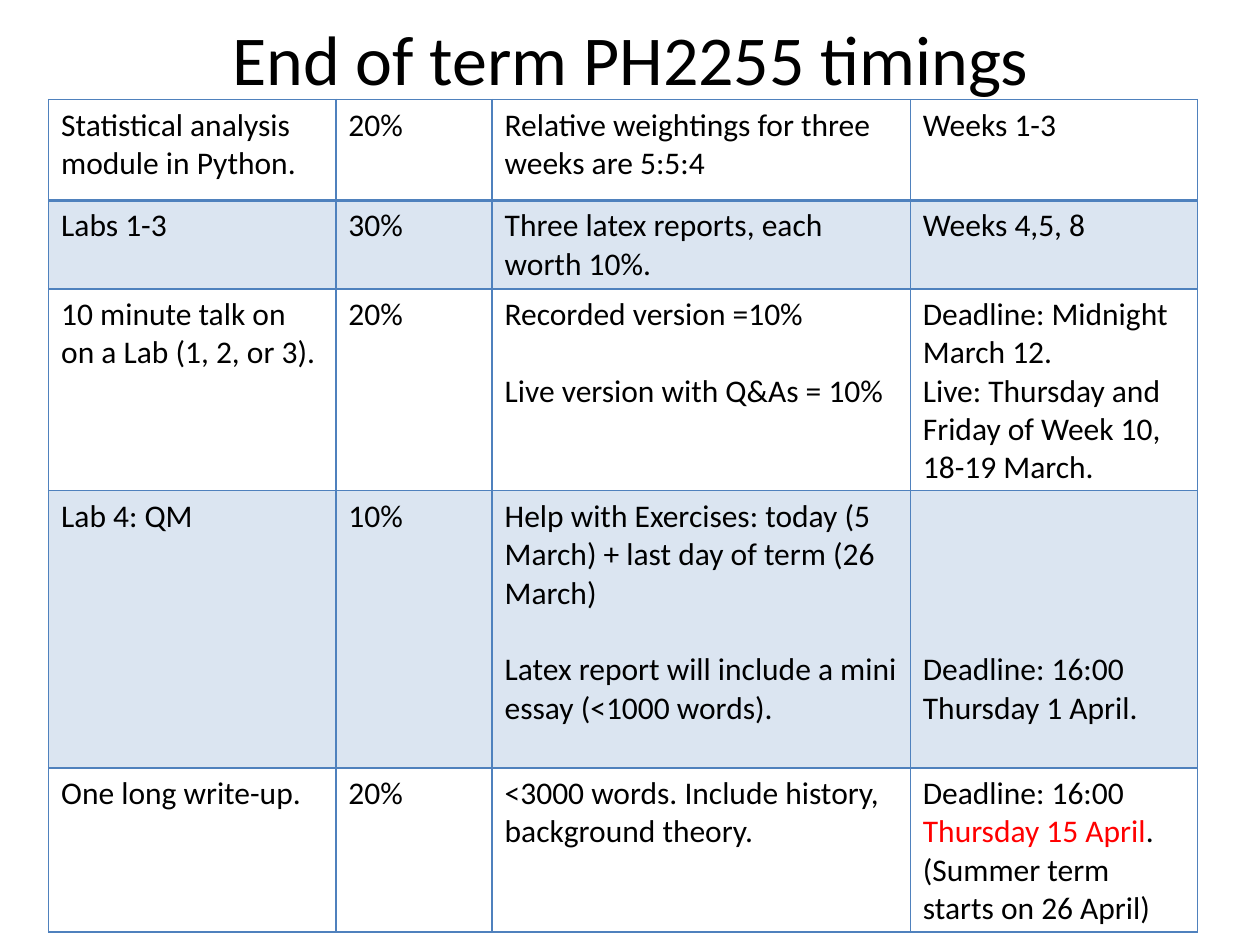
from dataclasses import dataclass

from lxml import etree
from pptx import Presentation
from pptx.dml.color import RGBColor
from pptx.enum.text import PP_ALIGN
from pptx.oxml.ns import qn
from pptx.slide import Slide
from pptx.table import Table, _Cell
from pptx.text.text import TextFrame, _Paragraph
from pptx.util import Cm, Pt

CENTER = PP_ALIGN.CENTER
LEFT = PP_ALIGN.LEFT


@dataclass(frozen=True)
class Theme:
    font: str = "Calibri"
    title_size: int = 40
    body_size: int = 18
    blank_line: int = 22
    text: str = "000000"
    highlight: str = "FF0000"
    accent: str = "4F81BD"
    band_opacity: int = 20
    border: int = 1
    heading_border: int = 2


THEME = Theme()


@dataclass(frozen=True)
class Run:
    text: str
    color: str = THEME.text


@dataclass(frozen=True)
class Line:
    runs: tuple[Run, ...]
    blank_lines_before: int = 0


@dataclass(frozen=True)
class Entry:
    lines: tuple[Line, ...]
    margin_top: float = 0.13


@dataclass(frozen=True)
class Assessment:
    height: float
    entries: tuple[Entry, ...]


def entry(*texts: str, gap: int = 0, margin_top: float = 0.13) -> Entry:
    lines = tuple(
        Line((Run(text),), gap if index else 0) for index, text in enumerate(texts)
    )
    return Entry(lines, margin_top)


COLUMN_WIDTHS = (5.79, 3.15, 8.43, 5.79)
ASSESSMENTS = (
    Assessment(2.03, (
        entry("Statistical analysis", "module in Python."),
        entry("20%"),
        entry("Relative weightings for three weeks are 5:5:4"),
        entry("Weeks 1-3"),
    )),
    Assessment(1.78, (
        entry("Labs 1-3"),
        entry("30%"),
        entry("Three latex reports, each worth 10%."),
        entry("Weeks 4,5, 8"),
    )),
    Assessment(4.07, (
        entry("10 minute talk on on a Lab (1, 2, or 3)."),
        entry("20%"),
        entry("Recorded version =10%", "Live version with Q&As = 10%", gap=1),
        entry(
            "Deadline: Midnight March 12.",
            "Live: Thursday and Friday of Week 10, 18-19 March.",
        ),
    )),
    Assessment(5.59, (
        entry("Lab 4: QM"),
        entry("10%"),
        entry(
            "Help with Exercises: today (5 March) + last day of term (26 March)",
            "Latex report will include a mini essay (<1000 words).",
            gap=1,
        ),
        entry("Deadline: 16:00 Thursday 1 April.", margin_top=3.23),
    )),
    Assessment(3.3, (
        entry("One long write-up."),
        entry("20%"),
        entry("<3000 words. Include history, background theory."),
        Entry((
            Line((Run("Deadline: 16:00"),)),
            Line((Run("Thursday 15 April", THEME.highlight), Run("."))),
            Line((Run("(Summer term starts on 26 April)"),)),
        )),
    )),
)


def add_text(
    paragraph: _Paragraph,
    text: str,
    *,
    size: int = THEME.body_size,
    color: str = THEME.text,
    alignment: PP_ALIGN = LEFT,
) -> None:
    paragraph.alignment = alignment
    run = paragraph.add_run()
    run.text = text
    run.font.name = THEME.font
    run.font.size = Pt(size)
    run.font.color.rgb = RGBColor.from_string(color)


def write_lines(text_frame: TextFrame, lines: tuple[Line, ...]) -> None:
    for index, line in enumerate(lines):
        paragraph = text_frame.add_paragraph() if index else text_frame.paragraphs[0]
        if line.blank_lines_before:
            paragraph.space_before = Pt(line.blank_lines_before * THEME.blank_line)
        for run in line.runs:
            add_text(paragraph, run.text, color=run.color)


def set_borders(cell: _Cell, top: int, bottom: int) -> None:
    properties = cell._tc.get_or_add_tcPr()
    widths = {"lnL": THEME.border, "lnR": THEME.border, "lnT": top, "lnB": bottom}
    for side, width in widths.items():
        border = etree.SubElement(properties, qn(f"a:{side}"), w=str(Pt(width)))
        fill = etree.SubElement(border, qn("a:solidFill"))
        etree.SubElement(fill, qn("a:srgbClr"), val=THEME.accent)


def fill_cell(cell: _Cell, banded: bool) -> None:
    if not banded:
        cell.fill.background()
        return
    cell.fill.solid()
    cell.fill.fore_color.rgb = RGBColor.from_string(THEME.accent)
    color = cell._tc.tcPr.find(f"{qn('a:solidFill')}/{qn('a:srgbClr')}")
    etree.SubElement(color, qn("a:alpha"), val=str(THEME.band_opacity * 1000))


def add_title(slide: Slide, text: str) -> None:
    shape = slide.shapes.add_textbox(Cm(2.59), Cm(0.18), Cm(20.24), Cm(1.96))
    shape.text_frame.word_wrap = True
    add_text(
        shape.text_frame.paragraphs[0], text, size=THEME.title_size, alignment=CENTER
    )


def add_assessment_row(table: Table, index: int, assessment: Assessment) -> None:
    table.rows[index].height = Cm(assessment.height)
    top = THEME.heading_border if index == 1 else THEME.border
    bottom = THEME.heading_border if index == 0 else THEME.border
    for column, content in enumerate(assessment.entries):
        cell = table.cell(index, column)
        cell.margin_top = Cm(content.margin_top)
        write_lines(cell.text_frame, content.lines)
        set_borders(cell, top, bottom)
        fill_cell(cell, banded=index % 2 == 1)


def add_timetable(slide: Slide) -> None:
    height = sum(assessment.height for assessment in ASSESSMENTS)
    table = slide.shapes.add_table(
        len(ASSESSMENTS), len(COLUMN_WIDTHS),
        Cm(0.98), Cm(2.01), Cm(sum(COLUMN_WIDTHS)), Cm(height),
    ).table
    table.first_row = False
    table.horz_banding = False
    for column, width in zip(table.columns, COLUMN_WIDTHS):
        column.width = Cm(width)
    for index, assessment in enumerate(ASSESSMENTS):
        add_assessment_row(table, index, assessment)


def main() -> None:
    presentation = Presentation()
    presentation.slide_width = Cm(25.4)
    presentation.slide_height = Cm(19.05)
    slide = presentation.slides.add_slide(presentation.slide_layouts[6])
    add_title(slide, "End of term PH2255 timings")
    add_timetable(slide)
    presentation.save("out.pptx")


if __name__ == "__main__":
    main()
